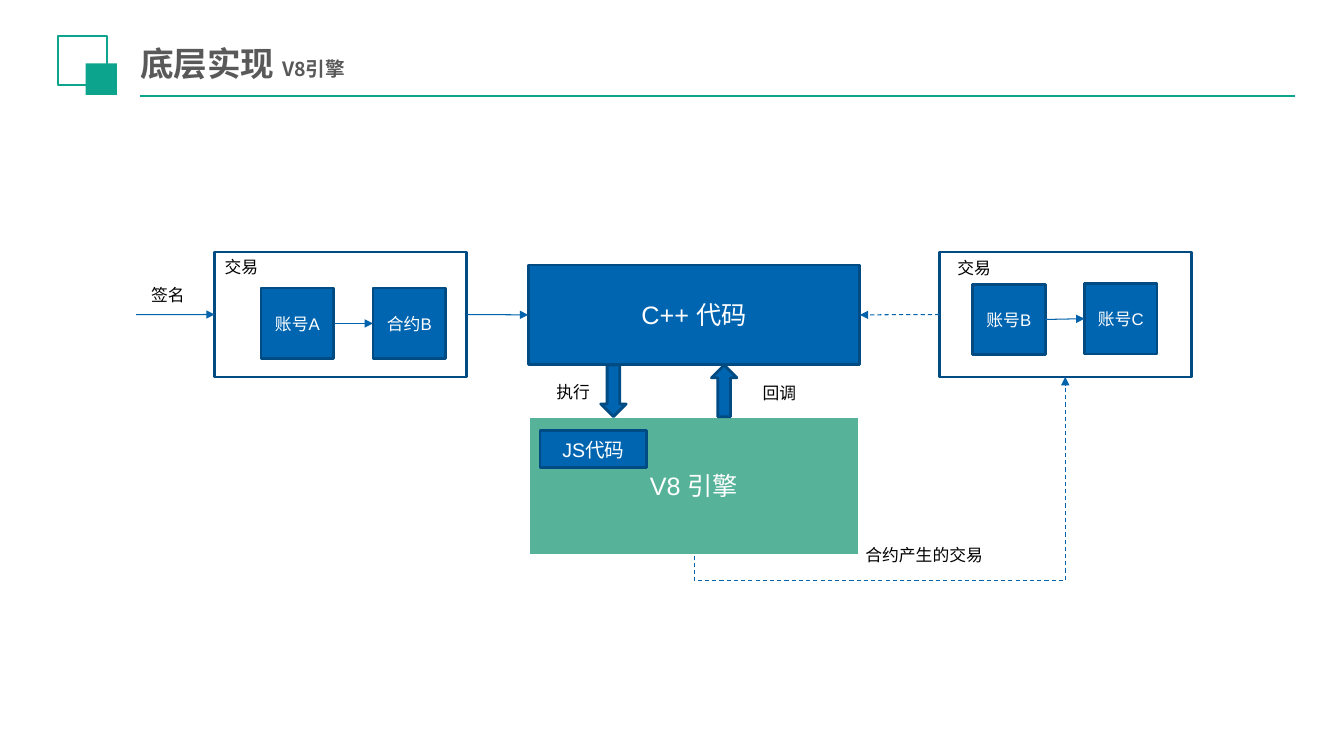
from lxml import etree
from pptx import Presentation
from pptx import util as u
from pptx.dml.color import RGBColor
from pptx.enum import dml, shapes, text
from pptx.oxml import ns

COLORS = {
    "teal": "0CA48D", "green": "56B399", "blue": "0065B0", "navy": "004B82",
    "link": "0063AC", "title": "595959", "white": "FFFFFF", "black": "000000",
}
TOP, LEFT, BOTTOM, RIGHT = range(4)


def rgb(name):
    return RGBColor.from_string(COLORS[name])


def sub(parent, tag, **attrs):
    return etree.SubElement(parent, ns.qn(tag), **attrs)


class Board:
    latin = "Arial"
    cjk = "Noto Sans CJK SC"

    def __init__(self, s):
        self.s = s

    def run(self, p, words, size, color, font=None, bold=False):
        r = p.add_run()
        r.text = words
        r.font.size = u.Pt(size)
        r.font.bold = bold
        r.font.name = font or self.latin
        r.font.color.rgb = rgb(color)
        sub(r.font._element, "a:ea", typeface=self.cjk)

    def shape(self, x, y, w, h, fill="blue", line="navy", weight=2, words="",
              size=12, kind=shapes.MSO_SHAPE.RECTANGLE, turn=0):
        sp = self.s.shapes.add_shape(kind, u.Cm(x), u.Cm(y), u.Cm(w), u.Cm(h))
        sp.shadow.inherit = False
        sp.rotation = turn
        if fill:
            sp.fill.solid()
            sp.fill.fore_color.rgb = rgb(fill)
        else:
            sp.fill.background()
        if line:
            sp.line.color.rgb = rgb(line)
            sp.line.width = u.Pt(weight)
        else:
            sp.line.fill.background()
        if words:
            tf = sp.text_frame
            tf.vertical_anchor = text.MSO_ANCHOR.MIDDLE
            p = tf.paragraphs[0]
            p.alignment = text.PP_ALIGN.CENTER
            self.run(p, words, size, "white")
        return sp

    def textbox(self, x, y, w, h):
        return self.s.shapes.add_textbox(u.Cm(x), u.Cm(y), u.Cm(w), u.Cm(h)).text_frame

    def label(self, words, x, y, w=1.37):
        tf = self.textbox(x, y, w, 0.76)
        tf.word_wrap = False
        tf.auto_size = text.MSO_AUTO_SIZE.SHAPE_TO_FIT_TEXT
        self.run(tf.paragraphs[0], words, 12, "black")

    def title(self, main, detail):
        tf = self.textbox(3.35, 0.99, 21.84, 1.22)
        tf.word_wrap = True
        tf.vertical_anchor = text.MSO_ANCHOR.MIDDLE
        tf.margin_left = tf.margin_right = u.Cm(0.18)
        tf.margin_top = tf.margin_bottom = u.Cm(0.1)
        p = tf.paragraphs[0]
        self.run(p, main, 24, "title", self.cjk, True)
        self.run(p, detail, 14, "title", self.cjk, True)

    def line(self, x1, y1, x2, y2, color="link", weight=0.75, dash=False,
             arrow=True, kind=shapes.MSO_CONNECTOR.STRAIGHT):
        c = self.s.shapes.add_connector(kind, u.Cm(x1), u.Cm(y1), u.Cm(x2), u.Cm(y2))
        c.line.color.rgb = rgb(color)
        c.line.width = u.Pt(weight)
        if dash:
            c.line.dash_style = dml.MSO_LINE.DASH
        if arrow:
            sub(c.line._get_or_add_ln(), "a:tailEnd", type="triangle")
        sub(c._element.spPr, "a:effectLst")
        return c

    def link(self, start, start_side, end, end_side, **style):
        c = self.line(0, 0, 1, 1, **style)
        c.begin_connect(start, start_side)
        c.end_connect(end, end_side)
        return c

    def return_path(self, start, end):
        c = self.link(start, BOTTOM, end, BOTTOM, dash=True,
                      kind=shapes.MSO_CONNECTOR.ELBOW)
        w, h = c.width, c.height
        c.left, c.top = c.left + (w - h) // 2, c.top + (h - w) // 2
        c.width, c.height = h, w
        xfrm = c._element.spPr.find(ns.qn("a:xfrm"))
        for key, value in (("rot", "5400000"), ("flipH", "1"), ("flipV", "1")):
            xfrm.set(key, value)
        guides = c._element.spPr.find(ns.qn("a:prstGeom")).find(ns.qn("a:avLst"))
        sub(guides, "a:gd", name="adj1", fmla="val -14100")


def main():
    prs = Presentation()
    prs.slide_width, prs.slide_height = u.Cm(33.87), u.Cm(19.05)
    b = Board(prs.slides.add_slide(prs.slide_layouts[6]))

    b.line(3.53, 2.41, 32.64, 2.41, "teal", 1.25, arrow=False)
    b.shape(1.47, 0.91, 1.22, 1.24, "white", "teal", 1.5)
    b.shape(2.16, 1.6, 0.79, 0.79, "teal", None)
    b.title("底层实现 ", "V8引擎")

    engine = b.shape(13.31, 10.49, 8.36, 3.51, "green", "white", words="V8 引擎", size=18)
    b.shape(13.61, 10.85, 2.69, 0.94, words="JS代码", size=14)
    code = b.shape(13.31, 6.68, 8.36, 2.51, words="C++ 代码", size=18)
    for x, turn in ((14.81, 90), (17.6, 270)):
        b.shape(x, 9.53, 1.3, 0.64, kind=shapes.MSO_SHAPE.RIGHT_ARROW, turn=turn)

    deals = []
    for x, parties in (
        (5.41, (("账号A", 6.58, 7.26), ("合约B", 9.4, 7.26))),
        (23.67, (("账号B", 24.51, 7.16), ("账号C", 27.33, 7.14))),
    ):
        deals.append(b.shape(x, 6.35, 6.35, 3.15, None))
        sender, receiver = [b.shape(px, py, 1.83, 1.78, words=name)
                            for name, px, py in parties]
        b.link(sender, RIGHT, receiver, LEFT)
    signed, produced = deals

    b.line(3.43, 7.93, 5.41, 7.93).end_connect(signed, LEFT)
    b.link(signed, RIGHT, code, LEFT)
    b.link(produced, LEFT, code, RIGHT, dash=True)
    b.return_path(engine, produced)

    for words, x, y in (("签名", 3.56, 7.04), ("交易", 5.41, 6.35),
                        ("交易", 23.88, 6.38), ("执行", 13.77, 9.5),
                        ("回调", 18.97, 9.53)):
        b.label(words, x, y)
    b.label("合约产生的交易", 21.56, 13.61, 3.51)

    prs.save("out.pptx")


if __name__ == "__main__":
    main()
